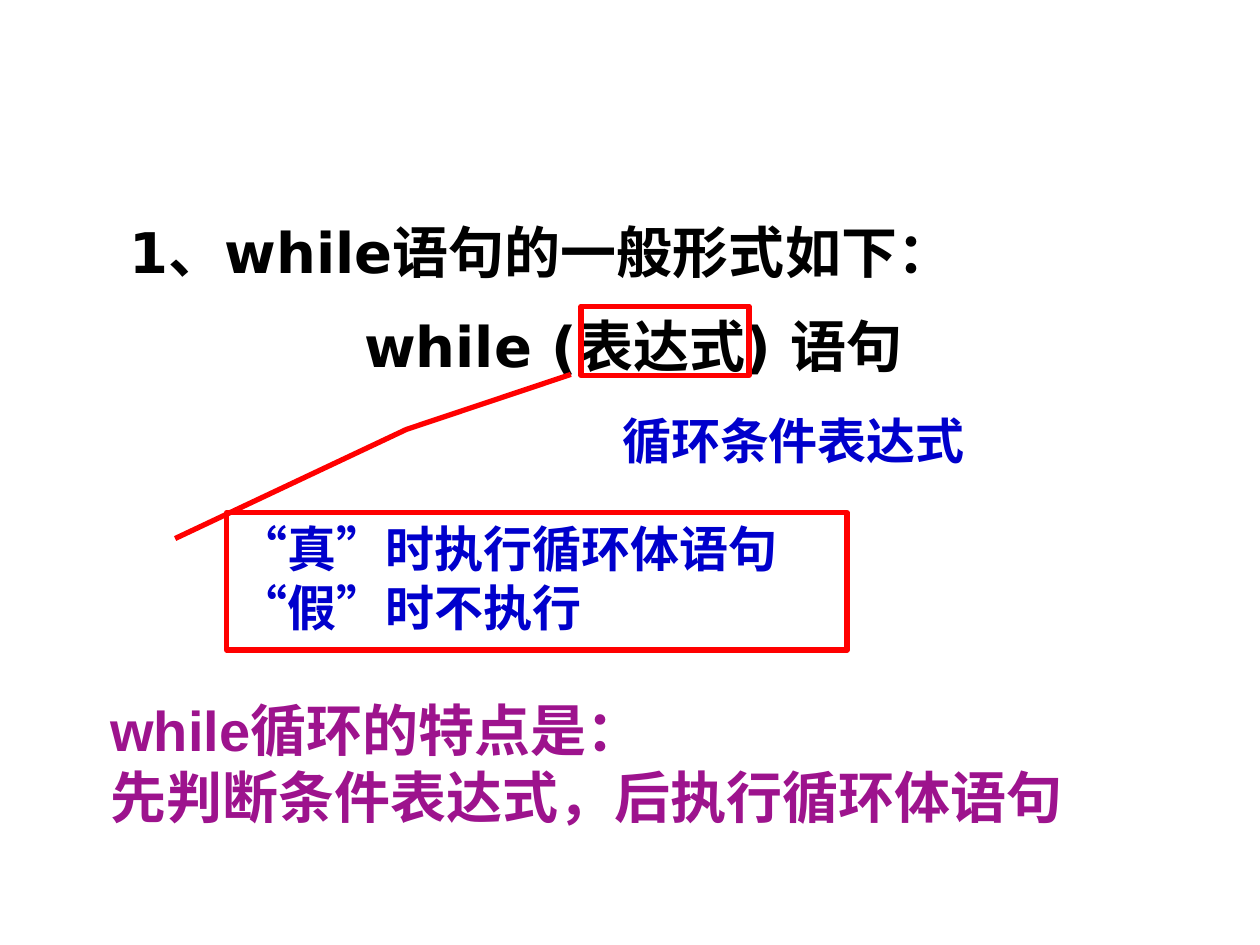
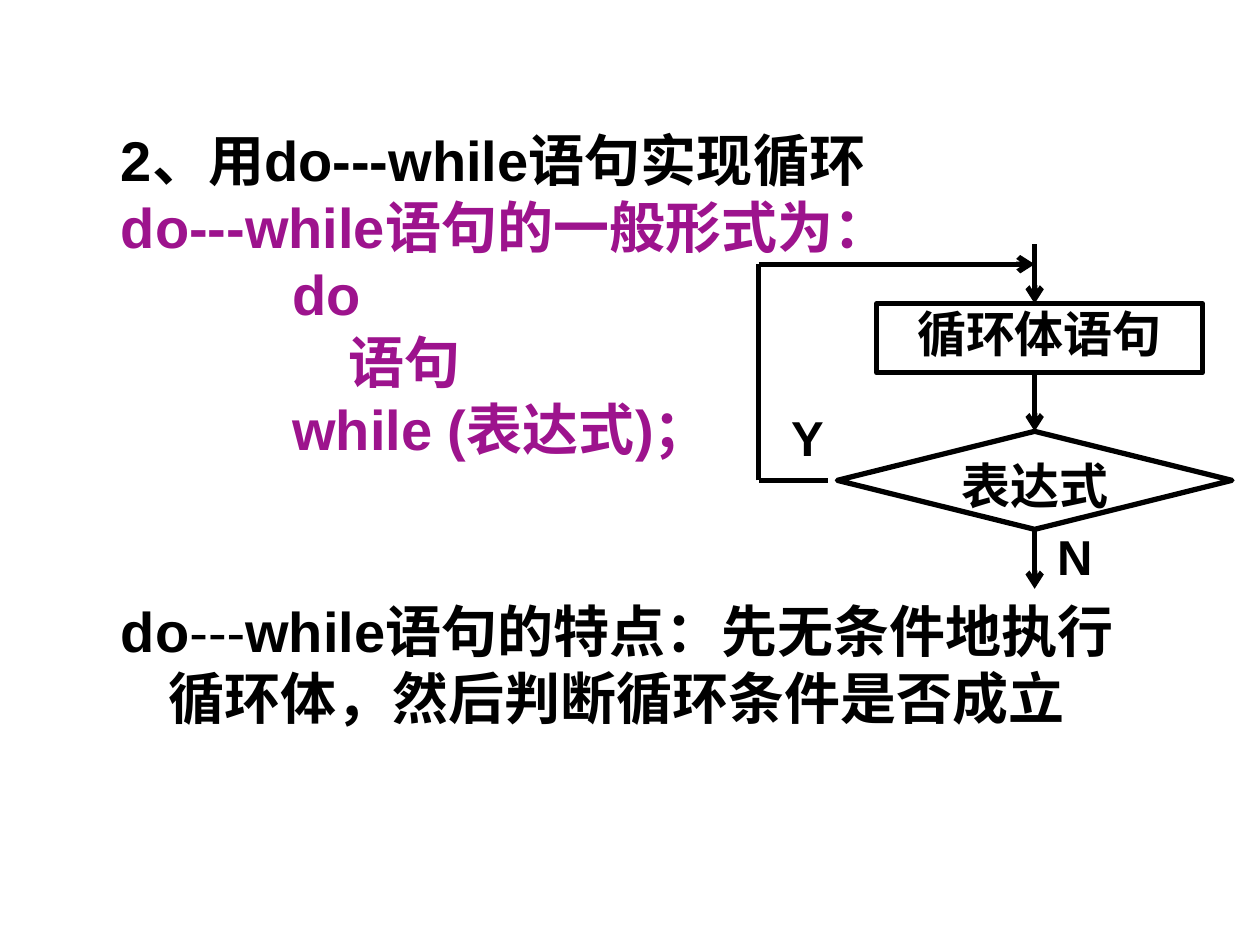
from dataclasses import dataclass

from pptx import Presentation
from pptx.dml.color import RGBColor
from pptx.enum.lang import MSO_LANGUAGE_ID
from pptx.enum.shapes import MSO_CONNECTOR, MSO_SHAPE
from pptx.enum.text import MSO_ANCHOR, PP_ALIGN
from pptx.oxml.ns import qn
from pptx.util import Pt
from lxml.etree import SubElement

BLACK, RED, BLUE, PURPLE, WHITE = "000000", "FF0000", "0000CC", "9D138D", "FFFFFF"
HEADING_SIZE, LABEL_SIZE = 32, 28
LINE_WIDTH = 3


@dataclass(frozen=True)
class Area:
    left: float
    top: float
    width: float
    height: float

    def lengths(self) -> tuple:
        return Pt(self.left), Pt(self.top), Pt(self.width), Pt(self.height)


@dataclass(frozen=True)
class Line:
    """One paragraph; spans in plain_spans are not bold."""
    spans: tuple[str, ...]
    color: str = BLACK
    size: float = HEADING_SIZE
    font: str = "Arial"
    margin: float = 0
    first_indent: float = 0
    before: float = 0
    spacing: float = 1.0
    centered: bool = False
    plain_spans: tuple[int, ...] = ()


@dataclass(frozen=True)
class Link:
    start: tuple[float, float]
    end: tuple[float, float]
    arrow: bool = False


def rgb(color: str) -> RGBColor:
    return RGBColor.from_string(color)


def write_lines(box, lines: list[Line], inset: tuple[float, float] = (7.2, 3.6)) -> None:
    frame = box.text_frame
    frame.word_wrap = True
    frame.vertical_anchor = MSO_ANCHOR.TOP
    frame.margin_left = frame.margin_right = Pt(inset[0])
    frame.margin_top = frame.margin_bottom = Pt(inset[1])
    for index, line in enumerate(lines):
        paragraph = frame.add_paragraph() if index else frame.paragraphs[0]
        paragraph.alignment = PP_ALIGN.CENTER if line.centered else PP_ALIGN.LEFT
        paragraph.line_spacing = line.spacing
        paragraph.space_before = Pt(line.before)
        properties = paragraph._p.get_or_add_pPr()
        properties.set("marL", str(Pt(line.margin)))
        properties.set("indent", str(Pt(line.first_indent)))
        for number, words in enumerate(line.spans):
            span = paragraph.add_run()
            span.text = words
            span.font.name = line.font
            span.font.size = Pt(line.size)
            span.font.bold = number not in line.plain_spans
            span.font.color.rgb = rgb(line.color)
            span.font.language_id = MSO_LANGUAGE_ID.SIMPLIFIED_CHINESE


def add_text(page, area: Area, lines: list[Line]) -> None:
    write_lines(page.shapes.add_textbox(*area.lengths()), lines)


def add_outlined(page, kind: MSO_SHAPE, area: Area, color: str, filled: bool = True):
    shape = page.shapes.add_shape(kind, *area.lengths())
    shape.shadow.inherit = False
    if filled:
        shape.fill.solid()
        shape.fill.fore_color.rgb = rgb(WHITE)
    else:
        shape.fill.background()
    shape.line.color.rgb = rgb(color)
    shape.line.width = Pt(LINE_WIDTH)
    return shape


def add_link(page, link: Link):
    connector = page.shapes.add_connector(
        MSO_CONNECTOR.STRAIGHT, *(Pt(value) for value in link.start + link.end))
    connector.line.color.rgb = rgb(BLACK)
    connector.line.width = Pt(LINE_WIDTH)
    if link.arrow:
        SubElement(connector.line._get_or_add_ln(), qn("a:tailEnd"), type="arrow")
    SubElement(connector._element.spPr, qn("a:effectLst"))
    return connector


def build_while_page(page) -> None:
    # General form of the statement
    form = dict(font="DejaVu Sans", spacing=1.2)
    add_text(page, Area(56, 113, 613.5, 129.5), [
        Line(("1、while语句的一般形式如下：",), margin=11, **form),
        Line(("while (表达式) 语句",), margin=145, before=8, **form),
    ])
    add_outlined(page, MSO_SHAPE.RECTANGLE, Area(332, 175, 96, 39.5), RED, filled=False)

    # Callout explaining the condition
    callout = add_outlined(page, MSO_SHAPE.LINE_CALLOUT_2, Area(129.5, 293, 354.5, 78.5), RED)
    for index, value in enumerate((0.188, -0.083, -0.607, 0.29, -1.007, 0.555)):
        callout.adjustments[index] = value
    write_lines(callout, [Line((words,), BLUE, LABEL_SIZE)
                          for words in ("“真”时执行循环体语句", "“假”时不执行")])
    add_text(page, Area(348.5, 231, 236, 41), [Line(("循环条件表达式",), BLUE, LABEL_SIZE)])

    # Summary
    add_text(page, Area(56, 394, 585.5, 84), [
        Line((words,), PURPLE)
        for words in ("while循环的特点是：", "先判断条件表达式，后执行循环体语句")])


def build_do_while_page(page) -> None:
    # Syntax and summary
    add_text(page, Area(62, 60.5, 607.5, 380), [
        Line(("2、用do---while语句实现循环",), spacing=1.2),
        Line(("do---while语句的一般形式为：",), PURPLE),
        Line(("do",), PURPLE, margin=98),
        Line(("语句",), PURPLE, margin=130),
        Line(("while (表达式)；",), PURPLE, margin=98),
        Line(("do", "---", "while语句的特点：先无条件地执行循环体，然后判断循环条件是否成立"),
             margin=27, first_indent=-27, before=77, plain_spans=(1,)),
    ])

    # Flowchart steps
    decision = add_outlined(page, MSO_SHAPE.FLOWCHART_DECISION, Area(478.5, 246.5, 225.5, 56), BLACK)
    process = add_outlined(page, MSO_SHAPE.FLOWCHART_PROCESS, Area(501, 173.5, 186, 39.5), BLACK)
    for shape, words in ((decision, "表达式"), (process, "循环体语句")):
        write_lines(shape, [Line((words,), size=LABEL_SIZE, centered=True)], inset=(0, 0))

    # Branch labels
    for words, left, top in (("Y", 445, 229.5), ("N", 597, 297.5)):
        add_text(page, Area(left, top, 39.5, 41), [Line((words,), size=LABEL_SIZE)])

    # Main flow, then the loop back
    axis, back, merge, middle = 591.25, 433.5, 151, 274.5
    add_link(page, Link((axis, 139.5), (axis, 173.5), arrow=True))
    into_decision = add_link(page, Link((axis, 213), (axis, 246.5), arrow=True))
    into_decision.end_connect(decision, 0)
    leaving = add_link(page, Link((axis, 302.5), (axis, 336.5), arrow=True))
    leaving.begin_connect(decision, 2)
    for link in (Link((473, middle), (back, middle)),
                 Link((back, middle), (back, merge)),
                 Link((back, merge), (axis, merge), arrow=True)):
        add_link(page, link)


def main() -> None:
    deck = Presentation()
    deck.slide_width, deck.slide_height = Pt(720), Pt(540)
    for build in (build_while_page, build_do_while_page):
        build(deck.slides.add_slide(deck.slide_layouts[6]))
    deck.save("out.pptx")


if __name__ == "__main__":
    main()
